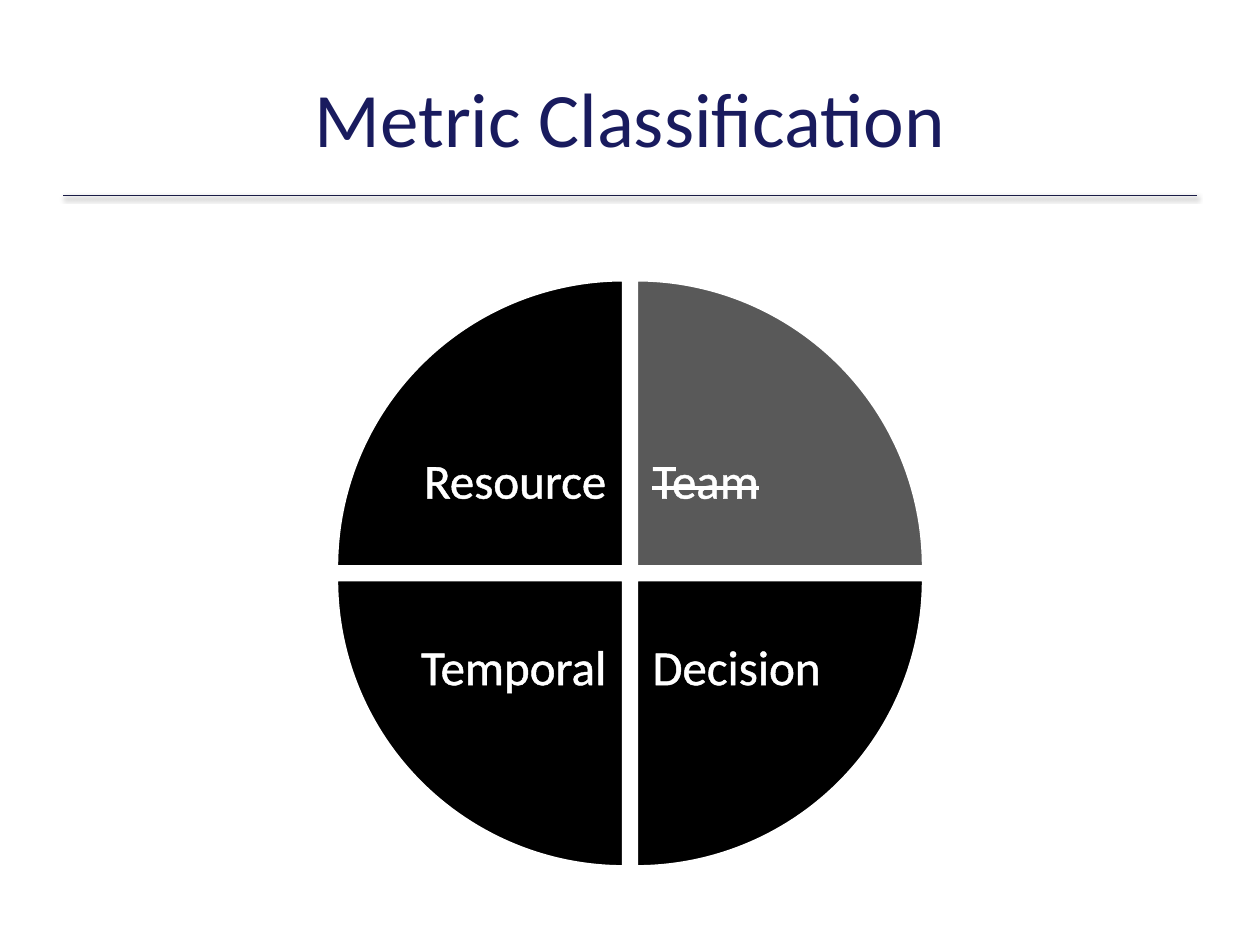
from dataclasses import dataclass

from lxml import etree
from pptx import Presentation
from pptx.dml.color import RGBColor
from pptx.enum.shapes import MSO_CONNECTOR, MSO_SHAPE
from pptx.enum.text import MSO_ANCHOR, MSO_AUTO_SIZE, PP_ALIGN
from pptx.oxml import parse_xml
from pptx.oxml.ns import nsdecls, qn
from pptx.util import Inches, Pt

STRAIGHT = MSO_CONNECTOR.STRAIGHT
PIE_WEDGE = MSO_SHAPE.PIE_WEDGE
MIDDLE = MSO_ANCHOR.MIDDLE
GROW = MSO_AUTO_SIZE.SHAPE_TO_FIT_TEXT
LEFT, CENTER, RIGHT = PP_ALIGN.LEFT, PP_ALIGN.CENTER, PP_ALIGN.RIGHT
TITLE_ONLY = 5


@dataclass(frozen=True)
class Theme:
    font: str = "Calibri"
    title_size: int = 44
    label_size: int = 28
    title: str = "191B5E"
    rule: str = "1A1C47"
    active: str = "000000"
    dropped: str = "595959"
    light: str = "FFFFFF"


THEME = Theme()

# Circle geometry: four equal wedges around a cross-shaped gap
CIRCLE_LEFT, CIRCLE_TOP = 2.67, 2.22
RADIUS, STEP = 2.28, 2.38
LABEL_HEIGHT = 0.57

# Text, column, row, label left, label width, struck out; clockwise from top left
QUADRANTS = [
    ("Resource", 0, 0, 2.88, 2.03, False),
    ("Team", 1, 0, 5.08, 1.85, True),
    ("Decision", 1, 1, 5.08, 2.17, False),
    ("Temporal", 0, 1, 2.83, 2.08, False),
]
LABEL_TOPS = (3.52, 5)


def color(value):
    return RGBColor.from_string(value)


def style_paragraph(para, size, value, align):
    para.alignment = align
    para.font.name = THEME.font
    para.font.size = Pt(size)
    para.font.color.rgb = color(value)


def add_title(page, text):
    title = page.shapes.title
    title.left, title.top = Inches(0.5), Inches(0.3)
    title.width, title.height = Inches(9), Inches(1.25)
    title.text_frame.vertical_anchor = MIDDLE
    title.text_frame.text = text
    style_paragraph(title.text_frame.paragraphs[0], THEME.title_size, THEME.title, CENTER)


def add_rule(page):
    rule = page.shapes.add_connector(
        STRAIGHT, Inches(0.5), Inches(1.55), Inches(9.5), Inches(1.55))
    rule.line.color.rgb = color(THEME.rule)
    rule.line.width = Pt(0.25)
    # Soft shadow straight below the rule
    rule._element.spPr.append(parse_xml(
        f'<a:effectLst {nsdecls("a")}>'
        f'<a:outerShdw blurRad="{Pt(3.1)}" dist="{Pt(1.6)}" dir="5400000" rotWithShape="0">'
        '<a:srgbClr val="000000"><a:alpha val="38000"/></a:srgbClr>'
        '</a:outerShdw></a:effectLst>'))


def add_wedge(page, column, row, rotation, fill):
    wedge = page.shapes.add_shape(
        PIE_WEDGE, Inches(CIRCLE_LEFT + column * STEP), Inches(CIRCLE_TOP + row * STEP),
        Inches(RADIUS), Inches(RADIUS))
    wedge.rotation = rotation
    wedge.shadow.inherit = False
    wedge.fill.solid()
    wedge.fill.fore_color.rgb = color(fill)
    wedge.line.color.rgb = color(THEME.light)
    wedge.line.width = Pt(2)


def outline_text(span):
    properties = span.font._element
    line = etree.Element(qn("a:ln"), w=str(Pt(1.45)))
    fill = etree.SubElement(line, qn("a:solidFill"))
    etree.SubElement(fill, qn("a:srgbClr"), val=THEME.light)
    properties.insert(0, line)


def add_label(page, text, left, top, width, align, struck):
    box = page.shapes.add_textbox(
        Inches(left), Inches(top), Inches(width), Inches(LABEL_HEIGHT))
    frame = box.text_frame
    frame.word_wrap = True
    frame.auto_size = GROW
    para = frame.paragraphs[0]
    span = para.add_run()
    span.text = text
    style_paragraph(para, THEME.label_size, THEME.light, align)
    outline_text(span)
    if struck:
        span.font._element.set("strike", "sngStrike")


def main():
    deck = Presentation()
    deck.slide_width, deck.slide_height = Inches(10), Inches(7.5)
    page = deck.slides.add_slide(deck.slide_layouts[TITLE_ONLY])

    # Heading
    add_rule(page)
    add_title(page, "Metric Classification")

    # Wedges, each a quarter turn after the one before
    for index, (_, column, row, _, _, struck) in enumerate(QUADRANTS):
        add_wedge(page, column, row, index * 90, THEME.dropped if struck else THEME.active)

    # Labels, aligned towards the vertical gap
    for text, column, row, left, width, struck in QUADRANTS:
        add_label(page, text, left, LABEL_TOPS[row], width, LEFT if column else RIGHT, struck)

    deck.save("out.pptx")


if __name__ == "__main__":
    main()
